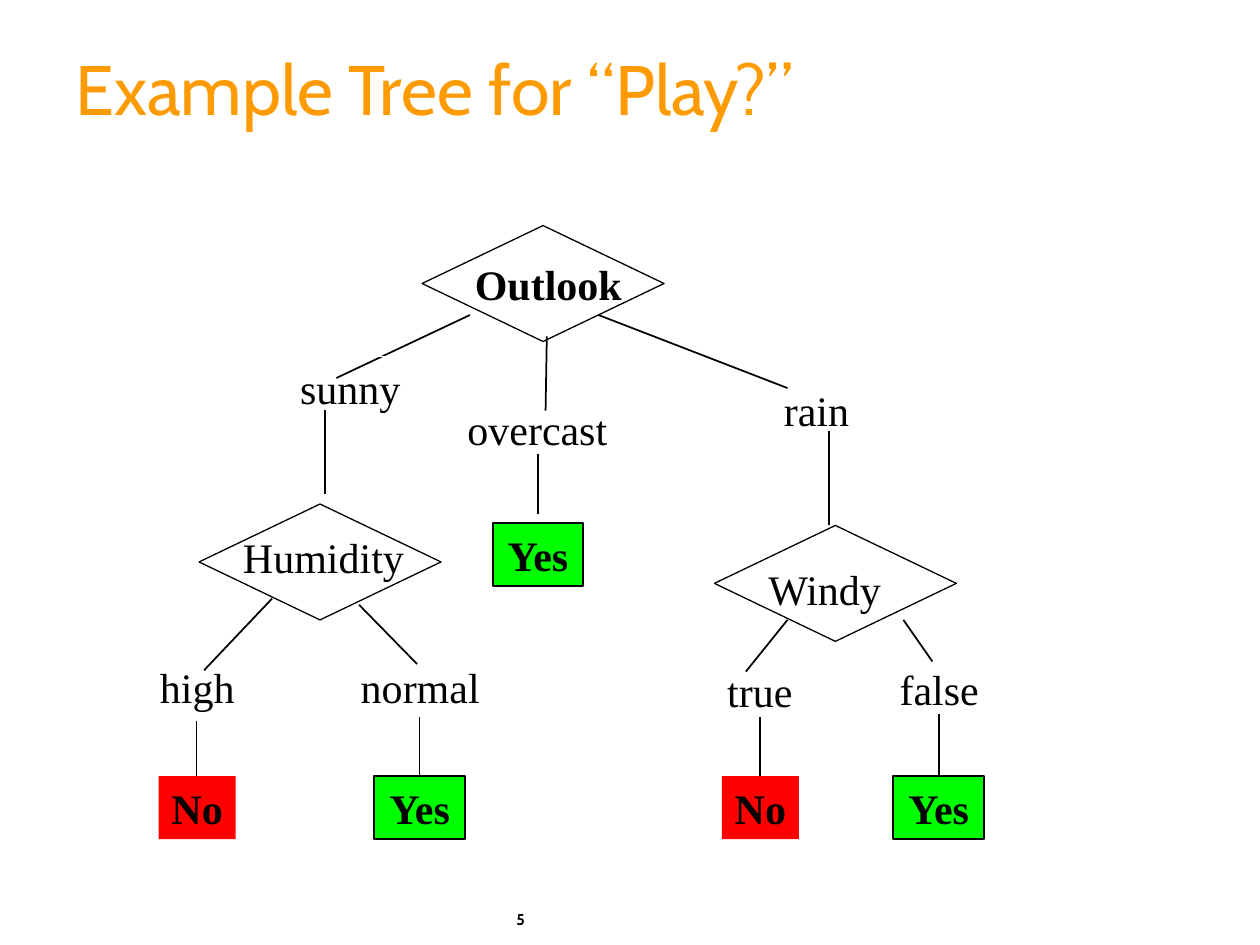
from lxml import etree
from pptx import Presentation
from pptx.dml.color import RGBColor
from pptx.enum import shapes, text
from pptx.oxml.ns import qn
from pptx.util import Inches, Pt

COLORS = {"black": "000000", "white": "FFFFFF", "orange": "FE9B03",
          "No": "FF0000", "Yes": "00FF00"}
SERIF, SANS = "Times New Roman", "Cabin"
ROW = 0.5                      # height of every label and leaf
DIAMOND = (1.92, 0.92)

TITLE = "Example Tree for “Play?”"
# text, left, top, width
BRANCH_LABELS = [
    ("overcast", 3.61, 3.15, 1.31), ("high", 1.17, 5.2, 0.79),
    ("normal", 2.76, 5.2, 1.15), ("false", 7.04, 5.22, 0.83),
    ("true", 5.67, 5.23, 0.72), ("rain", 6.12, 3, 0.72),
]
SUNNY = ("sunny", 2.28, 2.83, 1)
LEAF_WIDTHS = {"No": 0.61, "Yes": 0.72}
LEAVES = [("No", 1.26, 6.16), ("No", 5.73, 6.16), ("Yes", 2.97, 6.16),
          ("Yes", 7.09, 6.16), ("Yes", 3.91, 4.15)]
# diamond left and top, then text, its left, top, width, bold
TESTS = [
    (3.35, 1.79, "Outlook", 3.67, 2, 1.38, True),
    (1.58, 4, "Humidity", 1.83, 4.17, 1.48, False),
    (5.67, 4.17, "Windy", 6, 4.42, 1.1, False),
]
# x1, y1, x2, y2
OUTLOOK_BRANCHES = [(3.73, 2.5, 2.67, 3), (4.34, 2.67, 4.33, 3.26),
                    (4.75, 2.5, 6.25, 3.08)]
LOWER_BRANCHES = [(2.16, 4.75, 1.62, 5.32), (2.85, 4.8, 3.31, 5.27),
                  (6.25, 4.92, 5.92, 5.33), (7.17, 4.92, 7.4, 5.25)]
LEAF_STEMS = [(1.56, 5.72), (7.45, 5.67), (6.03, 5.69), (3.33, 5.69), (4.27, 3.6)]
STEM_LENGTH = 0.48
TEST_STEMS = [(2.58, 3.25, 2.58, 3.92), (6.58, 3.42, 6.58, 4.17)]


def rgb(name):
    return RGBColor.from_string(COLORS[name])


def write(sp, words, size=24, font=SERIF, color="black", bold=False,
          align=text.PP_ALIGN.CENTER, anchor=text.MSO_ANCHOR.TOP,
          wrap=False, spacing=None):
    """Fill a shape with one line of text; an unwrapped shape grows to fit it."""
    tf = sp.text_frame
    tf.word_wrap = wrap
    fit = text.MSO_AUTO_SIZE
    tf.auto_size = fit.NONE if wrap else fit.SHAPE_TO_FIT_TEXT
    tf.vertical_anchor = anchor
    tf.margin_left = tf.margin_right = Inches(0.1)
    tf.margin_top = tf.margin_bottom = Inches(0.05)
    p = tf.paragraphs[0]
    p.alignment = align
    p.line_spacing = spacing
    r = p.add_run()
    r.text = words
    r.font.size, r.font.name, r.font.bold = Pt(size), font, bold
    r.font.color.rgb = rgb(color)


def add_label(s, words, x, y, w, h=ROW, **fmt):
    write(s.shapes.add_textbox(*map(Inches, (x, y, w, h))), words, **fmt)


def add_node(s, kind, x, y, w, h, fill=None, line=None, weight=1):
    sp = s.shapes.add_shape(kind, *map(Inches, (x, y, w, h)))
    sp.shadow.inherit = False
    if fill:
        sp.fill.solid()
        sp.fill.fore_color.rgb = rgb(fill)
    else:
        sp.fill.background()
    if line:
        sp.line.color.rgb = rgb(line)
        sp.line.width = Pt(weight)
    else:
        sp.line.fill.background()
    return sp


def add_lines(s, ends, weight=1):
    for points in ends:
        c = s.shapes.add_connector(shapes.MSO_CONNECTOR.STRAIGHT, *map(Inches, points))
        c.line.color.rgb = rgb("black")
        c.line.width = Pt(weight)
        etree.SubElement(c._element.spPr, qn("a:effectLst"))


def main():
    prs = Presentation()
    prs.slide_width, prs.slide_height = Inches(10), Inches(7.5)
    s = prs.slides.add_slide(prs.slide_layouts[5])
    rect, diamond = shapes.MSO_SHAPE.RECTANGLE, shapes.MSO_SHAPE.DIAMOND
    left = text.PP_ALIGN.LEFT

    title = s.shapes.title
    title.left, title.top, title.width, title.height = map(Inches, (0.5, 0.25, 9.08, 1))
    write(title, TITLE, size=40, font=SANS, color="orange", align=left,
          anchor=text.MSO_ANCHOR.MIDDLE, wrap=True, spacing=0.85)

    for label in BRANCH_LABELS:
        add_label(s, *label)
    add_lines(s, OUTLOOK_BRANCHES)
    # The white outline of this label trims the branch above it
    words, x, y, w = SUNNY
    write(add_node(s, rect, x, y, w, ROW, line="white"), words)

    add_lines(s, LOWER_BRANCHES)
    add_lines(s, [(x, y, x, y + STEM_LENGTH) for x, y in LEAF_STEMS])
    for answer, x, y in LEAVES:
        leaf = add_node(s, rect, x, y, LEAF_WIDTHS[answer], ROW, fill=answer,
                        line="black" if answer == "Yes" else None)
        write(leaf, answer, bold=True)

    for dx, dy, words, x, y, w, bold in TESTS:
        add_node(s, diamond, dx, dy, *DIAMOND, line="black", weight=0.75)
        add_label(s, words, x, y, w, bold=bold, align=left)
    add_lines(s, TEST_STEMS, weight=0.75)

    add_label(s, "5", 4, 7.17, 1.02, 0.33, size=9, font=SANS, bold=True,
              align=left, wrap=True)
    prs.save("out.pptx")


if __name__ == "__main__":
    main()
